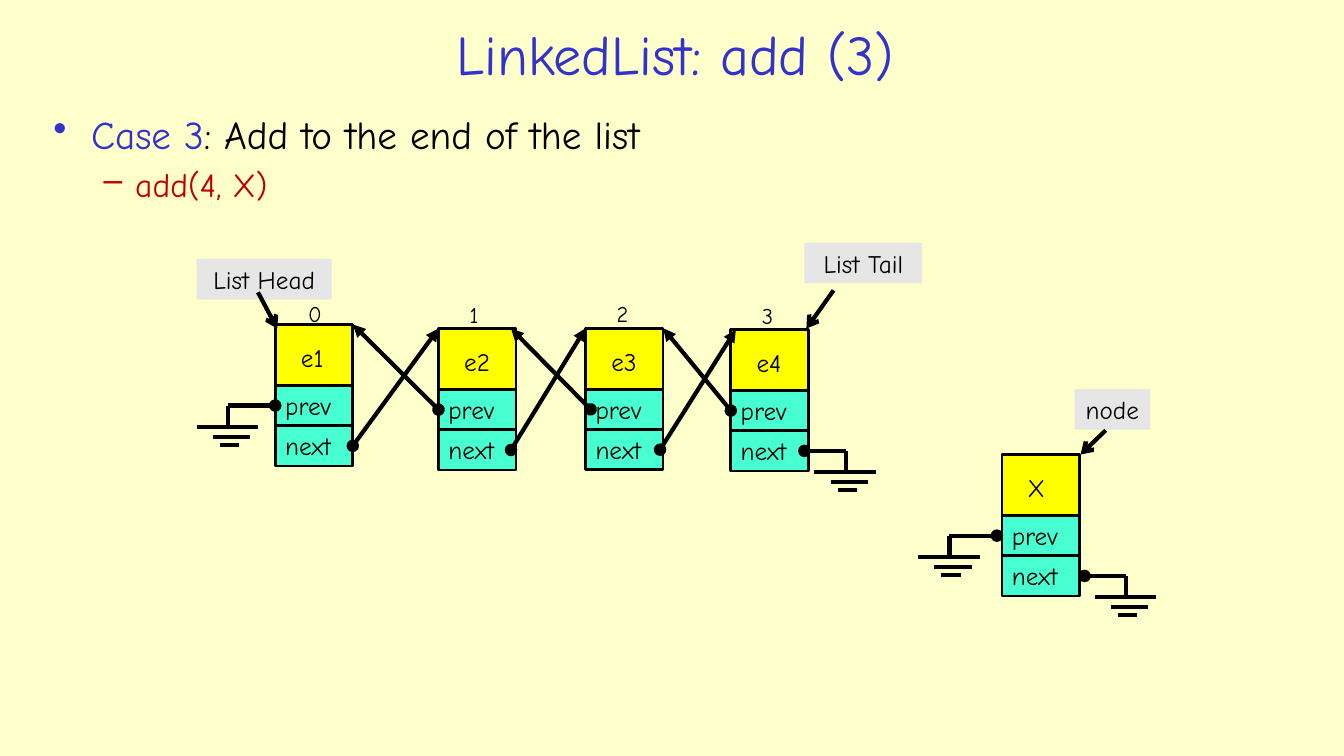
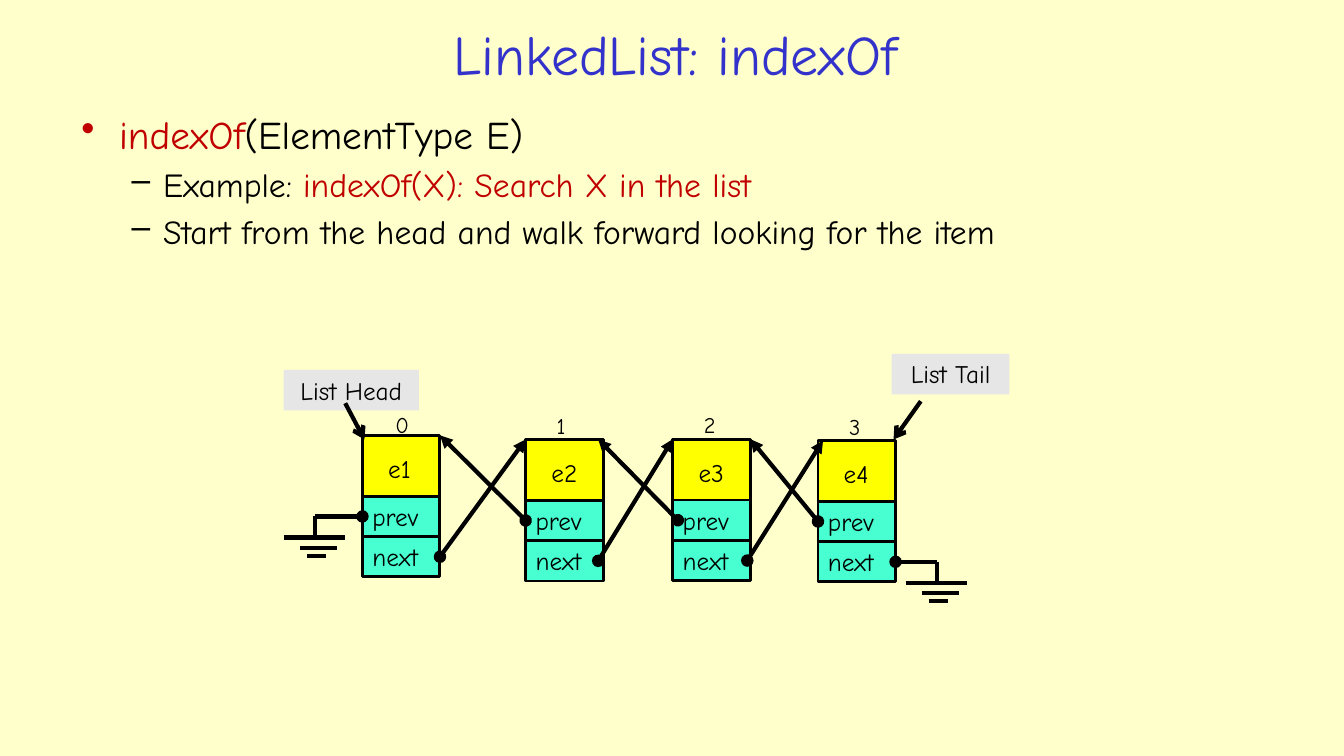
"""Build two slides on linked list operations with node diagrams."""
from lxml.etree import SubElement
from pptx import Presentation
from pptx.dml.color import RGBColor
from pptx.enum.shapes import MSO_CONNECTOR, MSO_SHAPE
from pptx.enum.text import MSO_ANCHOR, PP_ALIGN
from pptx.oxml.ns import qn
from pptx.util import Pt

FONT = "Comic Neue"
COLORS = {"paper": "FFFFCC", "blue": "3333CC", "red": "C00000", "black": "000000",
          "label": "E6E6E6", "value": "FFFF00", "field": "47FFD1"}

NODE_WIDTH, VALUE_HEIGHT, FIELD_HEIGHT = 55.4, 43.5, 28.8
FIELDS = ("prev", "next")
SIDES = {"prev": 1, "next": 3}
LEAD_LENGTHS = {"prev": 33.9, "next": 29.5}
GROUND_BARS = [(-22.3, 21.6, 15.1), (-10.8, 15.8, 22.4), (-5.8, 7.9, 28)]

LIST_NODES = {"e1": (196.6, 231.8), "e2": (313.2, 234.7),
              "e3": (418.3, 234.5), "e4": (522, 235.4)}
INDEXES = [("0", 213.1, 211), ("1", 328.3, 211.7), ("2", 433.4, 211), ("3", 537.1, 212.4)]
LINKS = [("e1", "next", "e2", 0, 0), ("e2", "prev", "e1", 0, 0),
         ("e3", "prev", "e2", 3.6, 3.6), ("e2", "next", "e3", 3.6, 0),
         ("e4", "prev", "e3", 0, 0), ("e3", "next", "e4", 2.2, 3.6)]
LIST_LABELS = [("List Head", (140.4, 185, 96.5), (184.3, 208.8), (198, 234.7)),
               ("List Tail", (574.6, 173.5, 84.2), (595.4, 207.4), (576, 234.7))]
NEW_NODE = {"X": (715.7, 324.7)}
NEW_LABELS = [("node", (767.5, 277.9, 54), (789.8, 307.4), (771.8, 324.7))]

SLIDES = [
    {"title": "LinkedList: add (3)", "body": (31, 75, 900, 84),
     "lines": [(0, [("Case 3", "blue"), (": Add to the end of the list", "black")]),
               (1, [("add(4, X)", "red")])],
     "shift": (0, 0), "nodes": LIST_NODES | NEW_NODE,
     "labels": LIST_LABELS + NEW_LABELS,
     "grounds": [("e1", "prev", 0), ("e4", "next", -2.8),
                 ("X", "prev", 3.6), ("X", "next", 3.6)]},
    {"title": "LinkedList: indexOf", "body": (51, 75, 858, 156),
     "lines": [(0, [("indexOf", "red"), ("(ElementType E)", "black")]),
               (1, [("Example: ", "black"), ("indexOf(X): Search X in the list", "red")]),
               (1, [("Start from the head and walk forward looking for the item", "black")])],
     "shift": (62.3, 79.2), "nodes": LIST_NODES, "labels": LIST_LABELS,
     "grounds": [("e1", "prev", 0), ("e4", "next", 0)]},
]
LEVELS = [(28, 27, -27, "•"), (24, 58.5, -22.5, "–")]


def rgb(name):
    return RGBColor.from_string(COLORS[name])


def style(span, size, color):
    span.font.name = FONT
    span.font.size = Pt(size)
    span.font.color.rgb = rgb(color)


def add_text(shape, text, size, color="black", align=PP_ALIGN.LEFT,
             anchor=MSO_ANCHOR.TOP):
    frame = shape.text_frame
    frame.word_wrap = False
    frame.vertical_anchor = anchor
    frame.text = text
    para = frame.paragraphs[0]
    para.alignment = align
    style(para.runs[0], size, color)


def add_body(page, area, lines):
    frame = page.shapes.add_textbox(*map(Pt, area)).text_frame
    frame.word_wrap = True
    for number, (level, spans) in enumerate(lines):
        para = frame.add_paragraph() if number else frame.paragraphs[0]
        size, margin, indent, bullet = LEVELS[level]
        para.level = level
        properties = para._p.get_or_add_pPr()
        properties.set("marL", str(Pt(margin)))
        properties.set("indent", str(Pt(indent)))
        SubElement(properties, qn("a:buChar")).set("char", bullet)
        if number:
            para.space_before = Pt(size * 0.2)
        for text, color in spans:
            span = para.add_run()
            span.text = text
            style(span, size, color)


class Diagram:
    """Draws linked list parts on a page, moved by a shift."""

    def __init__(self, page, shift):
        self.shapes = page.shapes
        self.shift = shift
        self.corners = {}
        self.fields = {}

    def place(self, left, top):
        return Pt(left + self.shift[0]), Pt(top + self.shift[1])

    def box(self, left, top, width, height, fill, outlined=True):
        shape = self.shapes.add_shape(MSO_SHAPE.RECTANGLE, *self.place(left, top),
                                      Pt(width), Pt(height))
        shape.shadow.inherit = False
        shape.fill.solid()
        shape.fill.fore_color.rgb = rgb(fill)
        if outlined:
            shape.line.color.rgb = rgb("black")
            shape.line.width = Pt(2)
        else:
            shape.line.fill.background()
        return shape

    def text(self, left, top, width, height, text, size):
        box = self.shapes.add_textbox(*self.place(left, top), Pt(width), Pt(height))
        add_text(box, text, size)

    def line(self, start, end, head=None, tail=None):
        connector = self.shapes.add_connector(
            MSO_CONNECTOR.STRAIGHT, *self.place(*start), *self.place(*end))
        connector.line.color.rgb = rgb("black")
        connector.line.width = Pt(3)
        outline = connector.line._get_or_add_ln()
        for tag, kind in (("a:headEnd", head), ("a:tailEnd", tail)):
            if kind:
                SubElement(outline, qn(tag)).set("type", kind)
        SubElement(connector._element.spPr, qn("a:effectLst"))
        return connector

    def node(self, name, left, top):
        self.corners[name] = left, top
        self.box(left, top, NODE_WIDTH, VALUE_HEIGHT, "value")
        self.text(left + 11.3, top + 9.4, 34, 29, name, 18)
        for row, field in enumerate(FIELDS):
            cell = self.box(left, top + VALUE_HEIGHT + row * FIELD_HEIGHT,
                            NODE_WIDTH, FIELD_HEIGHT, "field")
            add_text(cell, field, 18)
            self.fields[name, field] = cell

    def port(self, name, field, inset):
        left, top = self.corners[name]
        x = left + inset if field == "prev" else left + NODE_WIDTH - inset
        return x, top + VALUE_HEIGHT + (FIELDS.index(field) + 0.5) * FIELD_HEIGHT

    def leave(self, name, field, inset, end, tail=None):
        connector = self.line(self.port(name, field, inset), end, "oval", tail)
        if inset == 0:
            connector.begin_connect(self.fields[name, field], SIDES[field])

    def link(self, source, field, target, start_inset, end_inset):
        left, top = self.corners[target]
        x = left + end_inset if field == "next" else left + NODE_WIDTH - end_inset
        self.leave(source, field, start_inset, (x, top), "triangle")

    def ground(self, name, field, gap):
        x, y = self.port(name, field, -gap)
        stem = x + LEAD_LENGTHS[field] * (1 if field == "next" else -1)
        self.leave(name, field, -gap, (stem, y))
        self.line((stem, y), (stem, y + GROUND_BARS[0][2]))
        for left, right, drop in GROUND_BARS:
            self.line((stem + left, y + drop), (stem + right, y + drop))

    def label(self, text, area, start, end):
        left, top, width = area
        box = self.box(left, top, width, 29, "label", outlined=False)
        add_text(box, text, 18, align=PP_ALIGN.CENTER)
        self.line(start, end, tail="arrow")


def add_page(deck, content):
    page = deck.slides.add_slide(deck.slide_layouts[6])
    title = page.shapes.add_textbox(Pt(145.4), Pt(10.8), Pt(674), Pt(54.7))
    add_text(title, content["title"], 40, "blue", PP_ALIGN.CENTER, MSO_ANCHOR.MIDDLE)
    add_body(page, content["body"], content["lines"])
    diagram = Diagram(page, content["shift"])
    for name, corner in content["nodes"].items():
        diagram.node(name, *corner)
    for text, left, top in INDEXES:
        diagram.text(left, top, 22, 26.6, text, 16)
    for label in content["labels"]:
        diagram.label(*label)
    for link in LINKS:
        diagram.link(*link)
    for ground in content["grounds"]:
        diagram.ground(*ground)


def main():
    deck = Presentation()
    deck.slide_width, deck.slide_height = Pt(960), Pt(540)
    background = deck.slide_master.background.fill
    background.solid()
    background.fore_color.rgb = rgb("paper")
    for content in SLIDES:
        add_page(deck, content)
    deck.save("out.pptx")


if __name__ == "__main__":
    main()
